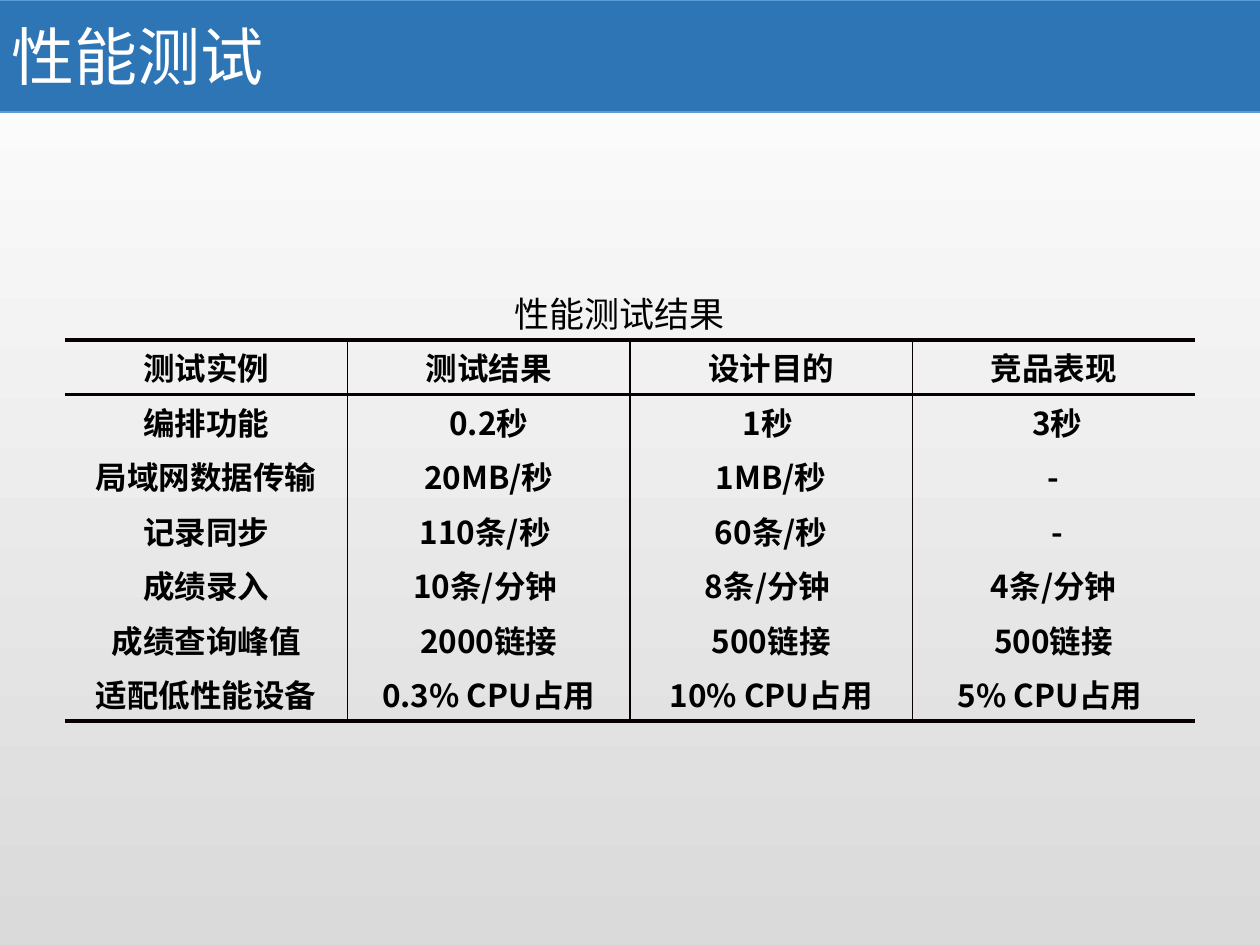
from dataclasses import dataclass

from lxml import etree
from pptx import Presentation
from pptx.dml.color import RGBColor
from pptx.enum.shapes import MSO_SHAPE
from pptx.enum.text import MSO_ANCHOR, PP_ALIGN
from pptx.oxml.ns import qn
from pptx.util import Emu, Pt

RECTANGLE = MSO_SHAPE.RECTANGLE
MIDDLE = MSO_ANCHOR.MIDDLE
LEFT, CENTER = PP_ALIGN.LEFT, PP_ALIGN.CENTER
PX_PER_INCH = 126


@dataclass(frozen=True)
class Theme:
    band: str = "2E75B6"
    band_edge: str = "5B9BD5"
    title: str = "FFFFFF"
    ink: str = "000000"
    rule: str = "080000"
    page_top: str = "FFFFFF"
    page_bottom: str = "DADADA"
    heading_font: str = "Arial"
    table_font: str = "Noto Sans CJK SC"
    title_size: int = 36
    caption_size: int = 20
    cell_size: int = 18
    outer_rule: float = 2.25
    header_rule: float = 1.5
    column_rule: float = 1


THEME = Theme()

RESULTS = [
    ["测试实例", "测试结果", "设计目的", "竞品表现"],
    ["编排功能", "0.2秒", "1秒 ", " 3秒"],
    ["局域网数据传输", "20MB/秒", "1MB/秒", " - "],
    ["记录同步", "110条/秒 ", "60条/秒", " -"],
    ["成绩录入", "10条/分钟 ", "8条/分钟 ", " 4条/分钟 "],
    ["成绩查询峰值", "2000链接", "500链接", "500链接"],
    ["适配低性能设备", "0.3% CPU占用", "10% CPU占用", "5% CPU占用 "],
]


def px(length):
    return Emu(round(length * 914400 / PX_PER_INCH))


def color(code):
    return RGBColor.from_string(code)


def write(frame, text, *, size, ink, font, align=LEFT, bold=False, east_asian=None):
    paragraph = frame.paragraphs[0]
    paragraph.alignment = align
    run = paragraph.add_run()
    run.text = text
    run.font.size = Pt(size)
    run.font.bold = bold
    run.font.name = font
    run.font.color.rgb = color(ink)
    if east_asian:
        etree.SubElement(run.font._element, qn("a:ea"), typeface=east_asian)


def add_label(slide, text, left, top, width, height, **style):
    frame = slide.shapes.add_textbox(px(left), px(top), px(width), px(height)).text_frame
    frame.word_wrap = True
    write(frame, text, font=THEME.heading_font, **style)


def paint_page(slide):
    fill = slide.background.fill
    fill.gradient()
    fill.gradient_angle = 270
    for stop, code in zip(fill.gradient_stops, (THEME.page_top, THEME.page_bottom)):
        stop.color.rgb = color(code)


def add_header(slide, left, top, width, height):
    band = slide.shapes.add_shape(RECTANGLE, px(left), px(top), px(width), px(height))
    band.shadow.inherit = False
    band.fill.solid()
    band.fill.fore_color.rgb = color(THEME.band)
    band.line.color.rgb = color(THEME.band_edge)
    band.line.width = Pt(0.75)
    add_label(slide, "性能测试", left, top + 11, 1075, height - 23,
              size=THEME.title_size, ink=THEME.title)


def set_borders(cell, **widths):
    """Draw the given edges (L, R, T, B) in points and clear the others."""
    properties = cell._tc.get_or_add_tcPr()
    for edge in "LRTB":
        line = etree.SubElement(properties, qn(f"a:ln{edge}"))
        if widths.get(edge):
            line.set("w", str(Pt(widths[edge])))
            fill = etree.SubElement(line, qn("a:solidFill"))
            etree.SubElement(fill, qn("a:srgbClr"), val=THEME.rule)
        else:
            etree.SubElement(line, qn("a:noFill"))


def add_results(slide, left, top, width, height):
    # Caption centred above the table
    add_label(slide, "性能测试结果", left - 76, top - 54, 1262, 55,
              size=THEME.caption_size, ink=THEME.ink, align=CENTER)

    # Table ruled above, below, under the header and between columns
    rows, columns = len(RESULTS), len(RESULTS[0])
    table = slide.shapes.add_table(rows, columns, px(left), px(top),
                                   px(width), px(height)).table
    table.first_row = table.horz_banding = False
    for column in table.columns:
        column.width = px(width / columns)
    for row in table.rows:
        row.height = px(height / rows)

    above = {0: THEME.outer_rule, 1: THEME.header_rule}
    below = {0: THEME.header_rule, rows - 1: THEME.outer_rule}
    for r, record in enumerate(RESULTS):
        for c, value in enumerate(record):
            cell = table.cell(r, c)
            set_borders(cell, T=above.get(r), B=below.get(r),
                        L=THEME.column_rule if c > 0 else None,
                        R=THEME.column_rule if c < columns - 1 else None)
            cell.fill.background()
            cell.vertical_anchor = MIDDLE
            cell.margin_left = cell.margin_right = px(9)
            cell.margin_top = cell.margin_bottom = 0
            write(cell.text_frame, value, size=THEME.cell_size, ink=THEME.ink,
                  font=THEME.table_font, east_asian=THEME.table_font,
                  align=CENTER, bold=True)


def main():
    deck = Presentation()
    deck.slide_width, deck.slide_height = px(1260), px(945)
    slide = deck.slides.add_slide(deck.slide_layouts[6])
    paint_page(slide)
    add_header(slide, -1, 0, 1262, 112)
    add_results(slide, 65, 340, 1130, 381)
    deck.save("out.pptx")


if __name__ == "__main__":
    main()
